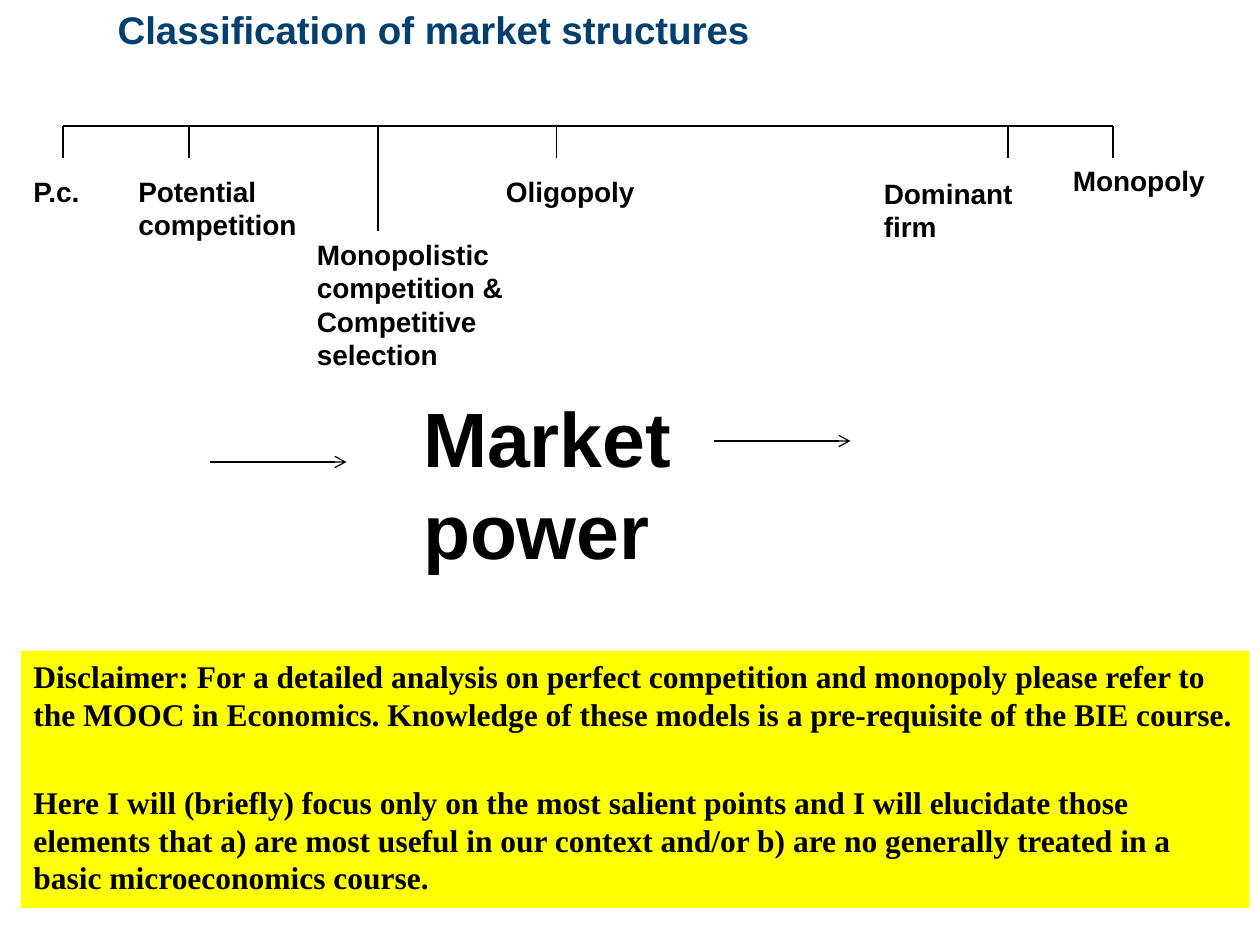
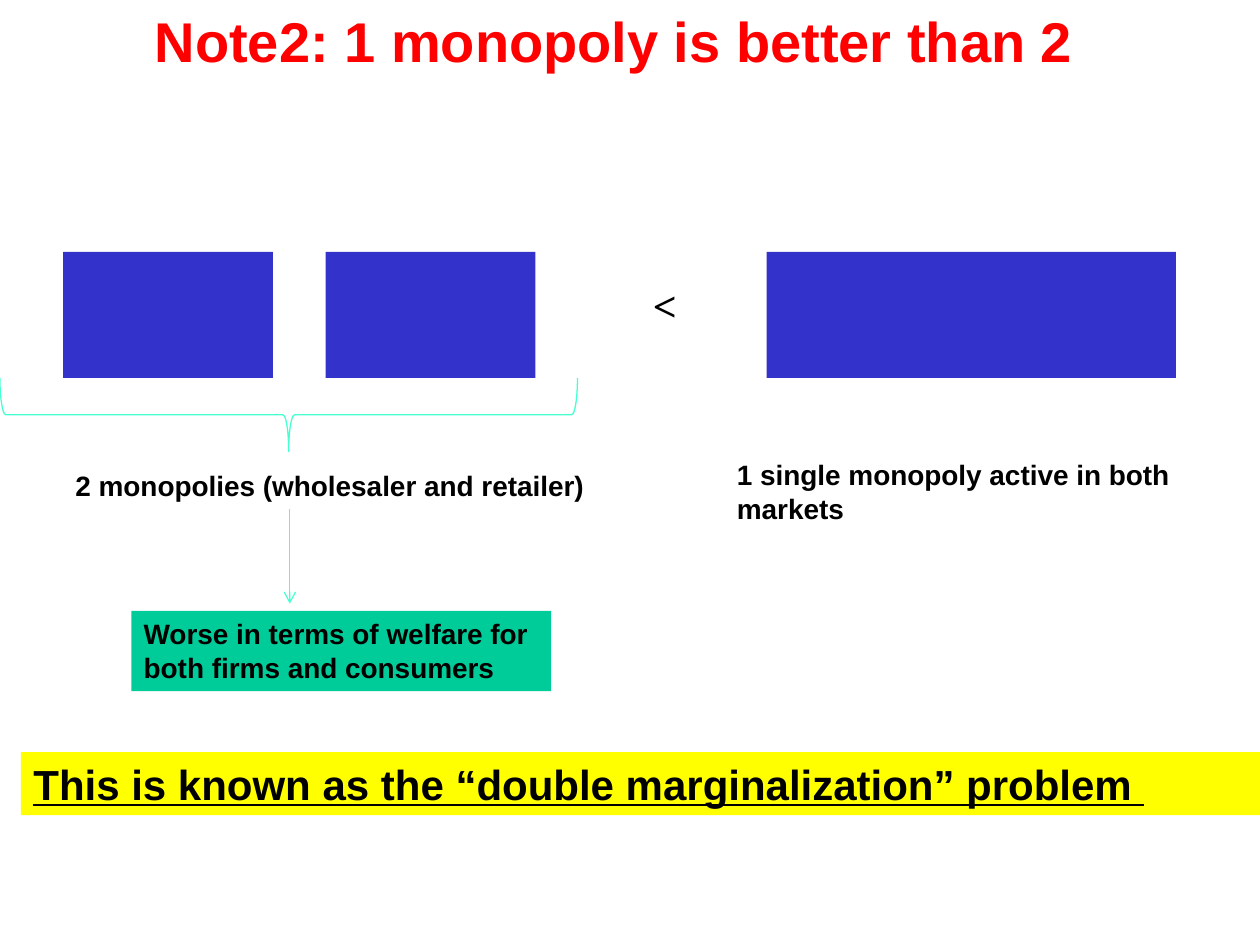
from lxml.etree import SubElement
from pptx import Presentation
from pptx.dml.color import RGBColor
from pptx.enum.shapes import MSO_CONNECTOR, MSO_SHAPE
from pptx.enum.text import MSO_ANCHOR, PP_ALIGN
from pptx.oxml.ns import qn
from pptx.util import Pt

COLORS = {
    "text": "000000",
    "heading": "003F6E",
    "alert": "FF0000",
    "highlight": "FFFF00",
    "firm": "3333CC",
    "result": "00CC99",
    "accent": "47FFD1",
}


def write(box, text, size=16, font="Arial", color="text", align=PP_ALIGN.LEFT,
          underline=False, gap=0):
    frame = box.text_frame
    frame.word_wrap = True
    frame.vertical_anchor = MSO_ANCHOR.TOP
    for index, line in enumerate(text.split("\n")):
        para = frame.add_paragraph() if index else frame.paragraphs[0]
        para.alignment = align
        if index:
            para.space_before = Pt(gap)
        span = para.add_run()
        span.text = line
        span.font.name = font
        span.font.size = Pt(size)
        span.font.bold = True
        span.font.underline = underline
        span.font.color.rgb = RGBColor.from_string(COLORS[color])


def draw_line(page, x1, y1, x2, y2, color="text", arrow=False):
    line = page.shapes.add_connector(
        MSO_CONNECTOR.STRAIGHT, Pt(x1), Pt(y1), Pt(x2), Pt(y2))
    line.line.width = Pt(0.75)
    line.line.color.rgb = RGBColor.from_string(COLORS[color])
    if arrow:
        SubElement(line.line._get_or_add_ln(), qn("a:tailEnd"), type="arrow")
    SubElement(line._element.spPr, qn("a:effectLst"))


deck = Presentation()
deck.slide_width = Pt(720)
deck.slide_height = Pt(540)
title_only = deck.slide_layouts[5]
structures = deck.slides.add_slide(title_only)
comparison = deck.slides.add_slide(title_only)

titles = [
    (structures, "Classification of market structures", (60, 0, 468, 66),
     {"size": 22, "color": "heading"}),
    (comparison, "Note2: 1 monopoly is better than 2", (18, 0, 666, 45),
     {"size": 32, "color": "alert", "align": PP_ALIGN.CENTER}),
]
for page, text, place, style in titles:
    title = page.shapes.title
    title.left, title.top, title.width, title.height = map(Pt, place)
    write(title, text, **style)

axis_top = 72
draw_line(structures, 36, axis_top, 636, axis_top)
for x, length in [(36, 18), (108, 18), (216, 60), (318, 18), (576, 18), (636, 18)]:
    draw_line(structures, x, axis_top, x, axis_top + length)
for x, y in [(120, 264), (408, 252)]:
    draw_line(structures, x, y, x + 78, y, arrow=True)

left, top, width, height = 36, 144, 120, 72
for firm_left, firm_width in [(left, width), (left + 150, width), (438, 234)]:
    firm = comparison.shapes.add_shape(
        MSO_SHAPE.RECTANGLE, Pt(firm_left), Pt(top), Pt(firm_width), Pt(height))
    firm.shadow.inherit = False
    firm.fill.solid()
    firm.fill.fore_color.rgb = RGBColor.from_string(COLORS["firm"])
    firm.line.fill.background()

brace = comparison.shapes.add_shape(
    MSO_SHAPE.LEFT_BRACE, Pt(144), Pt(72), Pt(42), Pt(330))
brace.rotation = 270
brace.adjustments[0] = 0.08
brace.shadow.inherit = False
brace.fill.background()
brace.line.width = Pt(0.75)
brace.line.color.rgb = RGBColor.from_string(COLORS["accent"])
draw_line(comparison, 165.6, 291, 165.6, 345, color="accent", arrow=True)

labels = [
    (structures, "P.c.", (12, 96, 72, 26.6), {}),
    (structures, "Potential competition", (72, 96, 150, 46), {}),
    (structures, "Monopolistic competition & Competitive selection",
     (174, 132, 144, 85), {}),
    (structures, "Oligopoly", (282, 96, 90, 26.6), {}),
    (structures, "Dominant firm", (498, 97.2, 108, 46), {}),
    (structures, "Monopoly", (606, 90, 90, 26.6), {}),
    (structures, "Market power ", (186, 219.6, 253.4, 113.8),
     {"size": 44, "align": PP_ALIGN.CENTER}),
    (comparison, "2 monopolies (wholesaler and retailer)", (36, 264, 318, 26.6), {}),
    (comparison, "1 single monopoly active in both markets",
     (414, 258, 318, 46), {}),
    (comparison, "<", (366, 156, 54, 36), {"size": 24, "font": "Times New Roman"}),
]
for page, text, place, style in labels:
    box = page.shapes.add_textbox(*map(Pt, place))
    write(box, text, **style)

disclaimer = (
    "Disclaimer: For a detailed analysis on perfect competition and monopoly "
    "please refer to the MOOC in Economics. Knowledge of these models is a "
    "pre-requisite of the BIE course.\n"
    "Here I will (briefly) focus only on the most salient points and I will "
    "elucidate those elements that a) are most useful in our context and/or "
    "b) are no generally treated in a basic microeconomics course."
)
panels = [
    (structures, disclaimer, (12, 372, 702, 147), "highlight",
     {"size": 18, "font": "Times New Roman", "gap": 28.6}),
    (comparison, "Worse in terms of welfare for both firms and consumers",
     (75, 349, 240, 46), "result", {}),
    (comparison, "This is known as the “double marginalization” problem ",
     (12, 429.8, 708, 36), "highlight", {"size": 24, "underline": True}),
]
for page, text, place, fill, style in panels:
    panel = page.shapes.add_shape(MSO_SHAPE.RECTANGLE, *map(Pt, place))
    panel.shadow.inherit = False
    panel.fill.solid()
    panel.fill.fore_color.rgb = RGBColor.from_string(COLORS[fill])
    panel.line.fill.background()
    write(panel, text, **style)

deck.save("out.pptx")
